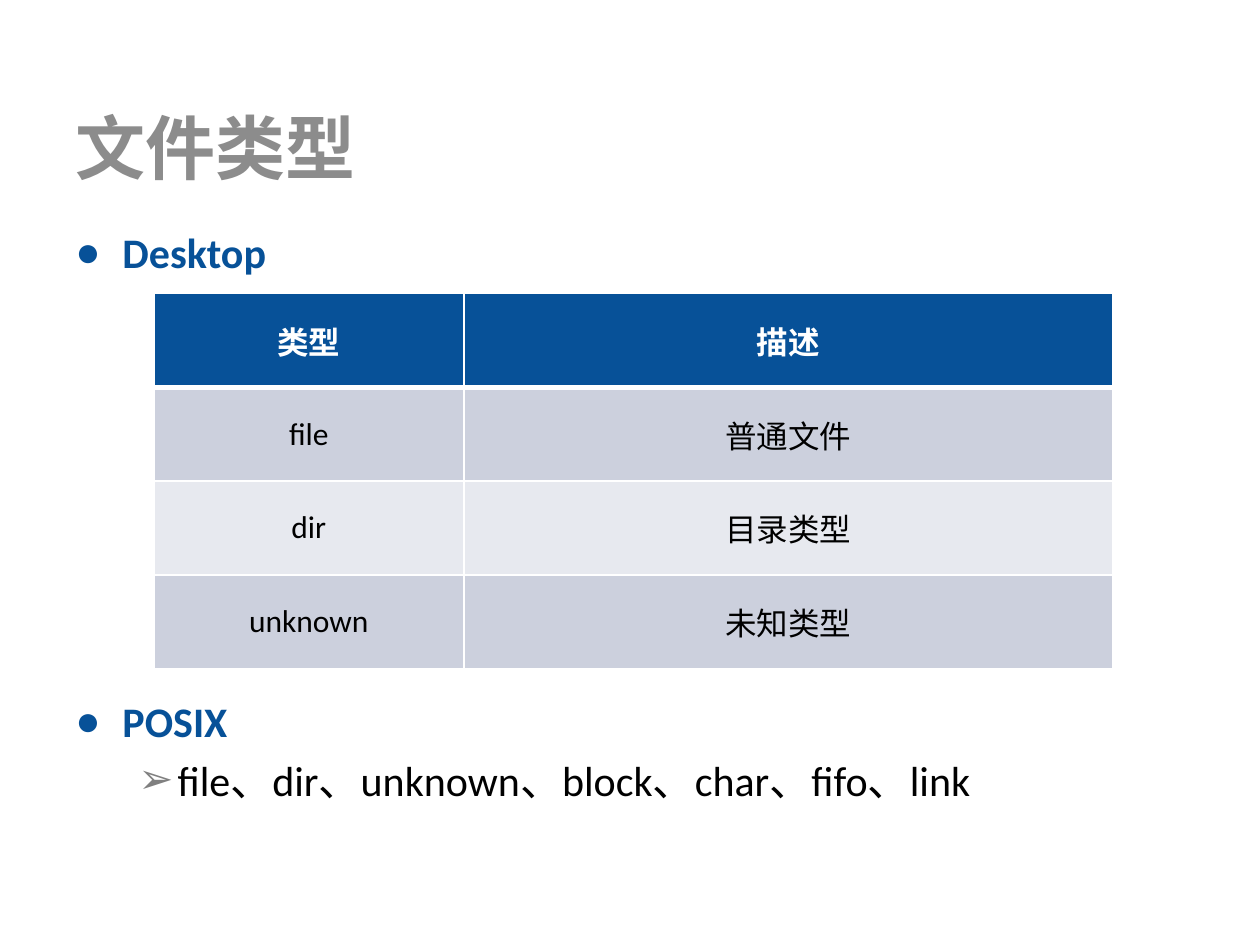
import pptx
import pptx.util
import pptx.dml.color
import pptx.enum.text
import pptx.oxml
import pptx.oxml.ns
from pptx.util import Cm

COLORS = {
    "title": "8C8C8C",
    "accent": "075198",
    "ink": "000000",
    "arrow": "808080",
    "white": "FFFFFF",
    "band_dark": "CCD0DD",
    "band_light": "E7E9EF",
}
ALIGN = pptx.enum.text.PP_ALIGN
ANCHOR = pptx.enum.text.MSO_ANCHOR


def rgb(name):
    """Return the named colour."""
    return pptx.dml.color.RGBColor.from_string(COLORS[name])


def add_child(parent, tag, **attributes):
    """Append a DrawingML element to parent and return it."""
    child = parent.makeelement(pptx.oxml.ns.qn(tag), attributes)
    parent.append(child)
    return child


def write(paragraph, text, size=18, color="ink", bold=False, align=ALIGN.LEFT, before=0):
    """Put formatted text in a paragraph."""
    paragraph.alignment = align
    paragraph.space_before = pptx.util.Pt(before)
    run = paragraph.add_run()
    run.text = text
    run.font.name = "Calibri"
    run.font.size = pptx.util.Pt(size)
    run.font.bold = bold
    run.font.color.rgb = rgb(color)


def add_bullet(paragraph, mark, color, left, hang):
    """Give a paragraph a coloured bullet with a hanging indent."""
    properties = paragraph._p.get_or_add_pPr()
    properties.set("marL", str(left))
    properties.set("indent", str(-hang))
    add_child(add_child(properties, "a:buClr"), "a:srgbClr", val=COLORS[color])
    add_child(properties, "a:buFont", typeface="Arial")
    add_child(properties, "a:buChar", char=mark)


def add_border(cell, side, points):
    """Draw one white border of a table cell."""
    properties = cell._tc.get_or_add_tcPr()
    line = add_child(properties, f"a:{side}", w=str(pptx.util.Pt(points)))
    add_child(add_child(line, "a:solidFill"), "a:srgbClr", val=COLORS["white"])


class SlideBuilder:
    """Holds the slide and adds its elements."""

    def __init__(self, slide):
        self.slide = slide

    def text_frame(self, left, top, width, height, anchor=ANCHOR.TOP):
        """Add a wrapping text box and return its frame."""
        box = self.slide.shapes.add_textbox(left, top, width, height)
        frame = box.text_frame
        frame.word_wrap = True
        frame.vertical_anchor = anchor
        return frame

    def title(self, text):
        """Add the slide title."""
        frame = self.text_frame(Cm(1.27), Cm(1.98), Cm(22.86), Cm(1.96), ANCHOR.MIDDLE)
        write(frame.paragraphs[0], text, size=40, color="title", bold=True)

    def outline(self, first, second, detail, table_gap):
        """Add the two headings, apart by table_gap points, and the detail line."""
        frame = self.text_frame(Cm(1.27), Cm(4.45), Cm(22.86), Cm(12.57))
        for text, before in ((first, 0), (second, table_gap)):
            heading = frame.paragraphs[0] if text == first else frame.add_paragraph()
            write(heading, text, size=24, color="accent", bold=True, before=before)
            add_bullet(heading, "●", "accent", Cm(0.95), Cm(0.95))
        item = frame.add_paragraph()
        item.level = 1
        write(item, detail, size=24, before=4.8)
        add_bullet(item, "➢", "arrow", Cm(2.06), Cm(0.79))

    def table(self, rows, left, top, widths, row_height):
        """Add a table with a header row and banded body rows."""
        frame = self.slide.shapes.add_table(
            len(rows), len(widths), left, top, sum(widths), row_height * len(rows))
        grid = frame.table
        for column, width in zip(grid.columns, widths):
            column.width = width
        for r, row in enumerate(rows):
            grid.rows[r].height = row_height
            header = r == 0
            fill = "accent" if header else ("band_light", "band_dark")[r % 2]
            for c, text in enumerate(row):
                cell = grid.cell(r, c)
                cell.vertical_anchor = ANCHOR.MIDDLE
                write(cell.text_frame.paragraphs[0], text, bold=header,
                      color="white" if header else "ink", align=ALIGN.CENTER)
                for side in ("lnL", "lnR", "lnT", "lnB"):
                    thick = (side, r) in (("lnB", 0), ("lnT", 1))
                    add_border(cell, side, 3 if thick else 1)
                cell.fill.solid()
                cell.fill.fore_color.rgb = rgb(fill)


def main():
    """Build and save the slide."""
    deck = pptx.Presentation()
    deck.slide_width, deck.slide_height = Cm(25.4), Cm(19.05)
    builder = SlideBuilder(deck.slides.add_slide(deck.slide_layouts[6]))
    builder.title("文件类型")
    builder.outline("Desktop", "POSIX", "file、dir、unknown、block、char、fifo、link",
                    table_gap=239)
    file_types = [
        ("类型", "描述"),
        ("file", "普通文件"),
        ("dir", "目录类型"),
        ("unknown", "未知类型"),
    ]
    builder.table(file_types, Cm(3.1), Cm(5.92), (Cm(6.25), Cm(13.08)), Cm(1.89))
    deck.save("out.pptx")


main()
